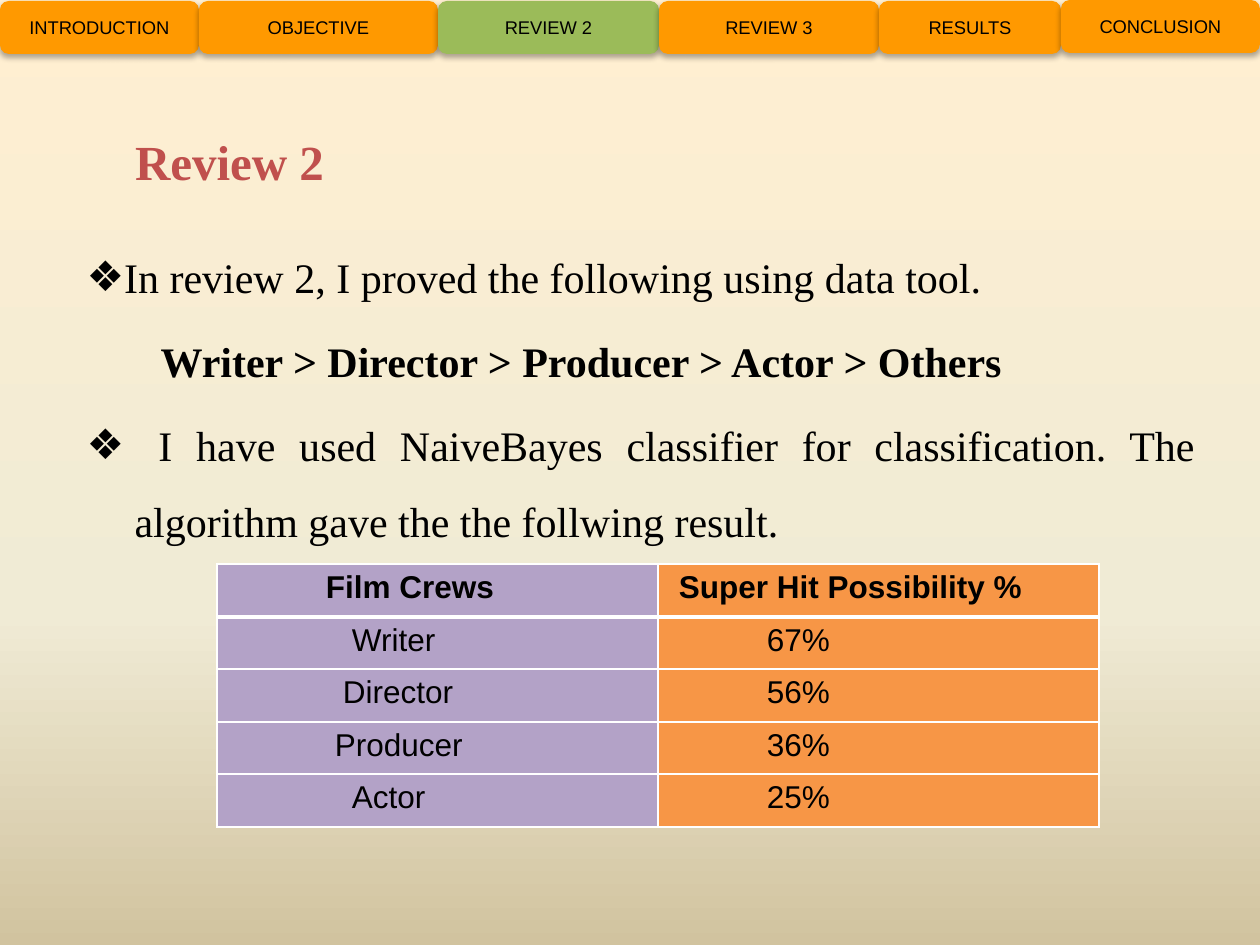
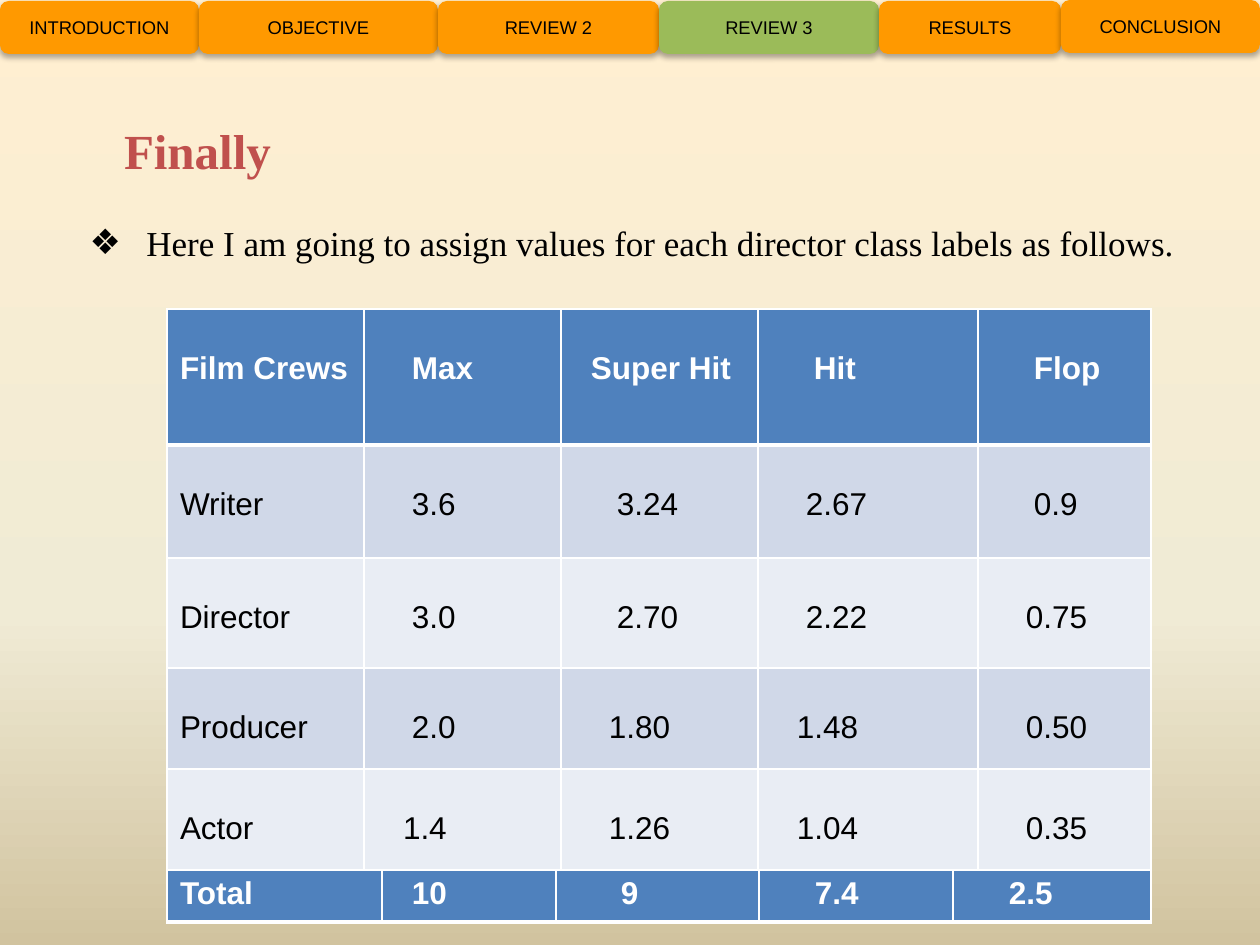
import copy
import itertools
from dataclasses import dataclass

import lxml.etree
import pptx
import pptx.dml.color
import pptx.enum.shapes
import pptx.enum.text
import pptx.oxml.ns
import pptx.util

qn = pptx.oxml.ns.qn
ALIGN = pptx.enum.text.PP_ALIGN
MIDDLE = pptx.enum.text.MSO_ANCHOR.MIDDLE


# Theme
@dataclass(frozen=True)
class Theme:
    serif: str = "Times New Roman"
    sans: str = "Arial"
    black: str = "000000"
    white: str = "FFFFFF"
    title: str = "C0504D"
    tab: str = "FF9900"
    active_tab: str = "9BBB59"
    lilac: str = "B3A2C7"
    orange: str = "F79646"
    blue: str = "4F81BD"
    band_dark: str = "D0D8E8"
    band_light: str = "E9EDF4"
    backdrop: tuple = ((0, "FFEFD1"), (0.65, "F0EBD5"), (1, "D1C39F"))
    title_size: float = 28
    table_size: float = 18
    tab_size: float = 10.5
    thin: float = 1
    thick: float = 3


THEME = Theme()

# Shared navigation: labels, and the left edges that separate them
TABS = ["INTRODUCTION", "OBJECTIVE", "REVIEW 2", "REVIEW 3", "RESULTS", "CONCLUSION"]
TAB_EDGES = [0, 199, 438, 659, 879, 1061, 1260]
TAB_HEIGHT = 53
CELL_TOP = 6
LOWERED_TOP = 42  # leaves one line of space above the cell text

# Content: paragraphs are (text, bold, bullet, left margin, first-line indent),
# table cells are (text, left inset)
REVIEW_ROWS = [
    [("Film Crews", 109), ("Super Hit Possibility %", 21)],
    [("Writer", 135), ("67%", 109)],
    [("Director", 126), ("56%", 109)],
    [("Producer", 118), ("36%", 109)],
    [("Actor", 135), ("25%", 109)],
]
SCORE_ROWS = [
    [("Film Crews", 13), ("Max", 48), ("Super Hit", 30), ("Hit", 56), ("Flop", 56)],
    [("Writer", 13), ("3.6", 48), ("3.24", 56), ("2.67", 48), ("0.9", 56)],
    [("Director", 13), ("3.0", 48), ("2.70", 56), ("2.22", 48), ("0.75", 48)],
    [("Producer", 13), ("2.0", 48), ("1.80", 48), ("1.48", 39), ("0.50", 48)],
    [("Actor", 13), ("1.4", 39), ("1.26", 48), ("1.04", 39), ("0.35", 48)],
]
TOTAL_ROWS = [[("Total", 13), ("10", 30), ("9", 65), ("7.4", 56), ("2.5", 56)]]

SLIDES = [
    {
        "active": "REVIEW 2",
        "title": "Review 2",
        "title_box": (63, 117, 333, 88),
        "body_box": (74, 220, 1134, 630),
        "body_size": 24,
        "body": [
            ("In review 2, I proved the following using data tool.", False, True, 0, -48),
            ("Writer > Director > Producer > Actor > Others", True, False, 74, 0),
            (" I have used NaiveBayes classifier for classification. "
             "The algorithm gave the the follwing result.", False, True, 48, -48),
        ],
        "tables": [
            {
                "at": (217, 564), "columns": [441, 441],
                "heights": [53, 52, 53, 52, 53], "rows": REVIEW_ROWS,
                "fills": [[THEME.lilac, THEME.orange]] * 5,
                "header_colour": THEME.black, "top": CELL_TOP,
            },
        ],
    },
    {
        "active": "REVIEW 3",
        "title": "Finally",
        "title_box": (77, 106, 241, 88),
        "body_box": (77, 194, 1134, 672),
        "body_size": 20,
        "body": [
            (" Here I am going to assign values for each director class labels as follows.",
             False, True, 48, -48),
        ],
        "tables": [
            {
                "at": (167, 309), "columns": [197, 197, 197, 220, 173],
                "heights": [136, 113, 110, 101, 101], "rows": SCORE_ROWS,
                "fills": [[THEME.blue] * 5] + [[THEME.band_dark] * 5, [THEME.band_light] * 5] * 2,
                "header_colour": THEME.white, "top": LOWERED_TOP,
            },
            {
                "at": (167, 870), "columns": [215, 174, 203, 194, 198],
                "heights": [52], "rows": TOTAL_ROWS,
                "fills": [[THEME.blue] * 5],
                "header_colour": THEME.white, "top": CELL_TOP,
            },
        ],
    },
]


# Helpers
def px(length):
    return pptx.util.Emu(round(length * 914400 / 126))


def rgb(colour):
    return pptx.dml.color.RGBColor.from_string(colour)


def place(shape, box):
    shape.left, shape.top, shape.width, shape.height = map(px, box)


def add_span(para, text, font, size, colour, bold=False):
    span = para.add_run()
    span.text = text
    span.font.name = font
    span.font.size = pptx.util.Pt(size)
    span.font.color.rgb = rgb(colour)
    span.font.bold = bold


def add_element(parent, tag, **attributes):
    element = lxml.etree.SubElement(parent, qn(tag))
    for name, value in attributes.items():
        element.set(name, str(value))
    return element


def set_backdrop(master):
    fill = master.background.fill
    fill.gradient()
    fill.gradient_angle = 270
    stops = master.element.find(".//" + qn("a:gsLst"))
    stops.append(copy.deepcopy(stops[-1]))
    for stop, (position, colour) in zip(fill.gradient_stops, THEME.backdrop):
        stop.position = position
        stop.color.rgb = rgb(colour)


# Slide parts
def add_tabs(page, active):
    for label, (left, right) in zip(TABS, itertools.pairwise(TAB_EDGES)):
        top = 0 if label == TABS[-1] else 1
        tab = page.shapes.add_shape(
            pptx.enum.shapes.MSO_SHAPE.ROUNDED_RECTANGLE,
            px(left), px(top), px(right - left), px(TAB_HEIGHT))
        tab.fill.solid()
        tab.fill.fore_color.rgb = rgb(THEME.active_tab if label == active else THEME.tab)
        tab.line.fill.background()
        tab.shadow.inherit = False
        effects = tab.element.spPr.find(qn("a:effectLst"))
        shadow = add_element(effects, "a:outerShdw", blurRad=pptx.util.Pt(3.5),
                             dist=pptx.util.Pt(2.2), dir=90 * 60000, rotWithShape=0)
        shade = add_element(shadow, "a:srgbClr", val=THEME.black)
        add_element(shade, "a:alpha", val=32000)
        tab.text_frame.vertical_anchor = MIDDLE
        para = tab.text_frame.paragraphs[0]
        para.alignment = ALIGN.CENTER
        add_span(para, label, THEME.sans, THEME.tab_size, THEME.black)


def fill_title(page, content):
    title = page.shapes.title
    place(title, content["title_box"])
    title.text_frame.auto_size = pptx.enum.text.MSO_AUTO_SIZE.NONE
    title.text_frame.vertical_anchor = MIDDLE
    para = title.text_frame.paragraphs[0]
    para.alignment = ALIGN.CENTER
    add_span(para, content["title"], THEME.serif, THEME.title_size, THEME.title, True)


def fill_body(page, content):
    body = page.placeholders[1]
    place(body, content["body_box"])
    frame = body.text_frame
    frame.auto_size = pptx.enum.text.MSO_AUTO_SIZE.NONE
    for index, (text, bold, bullet, margin, indent) in enumerate(content["body"]):
        para = frame.add_paragraph() if index else frame.paragraphs[0]
        para.alignment = ALIGN.JUSTIFY
        para.line_spacing = 1.5
        layout = para._p.get_or_add_pPr()
        layout.set("marL", str(px(margin)))
        layout.set("indent", str(px(indent)))
        if bullet:
            add_element(layout, "a:buChar", char="❖")
        else:
            add_element(layout, "a:buNone")
        add_span(para, text, THEME.serif, content["body_size"], THEME.black, bold)


def set_borders(cell, row):
    widths = {
        "L": THEME.thin,
        "R": THEME.thin,
        "T": THEME.thick if row == 1 else THEME.thin,
        "B": THEME.thick if row == 0 else THEME.thin,
    }
    for side, width in widths.items():
        line = add_element(cell._tc.get_or_add_tcPr(), "a:ln" + side, w=pptx.util.Pt(width))
        add_element(add_element(line, "a:solidFill"), "a:srgbClr", val=THEME.white)


def add_grid(page, grid):
    columns, heights = grid["columns"], grid["heights"]
    left, top = grid["at"]
    table = page.shapes.add_table(len(heights), len(columns), px(left), px(top),
                                  px(sum(columns)), px(sum(heights))).table
    table.first_row = table.horz_banding = False
    for column, width in zip(table.columns, columns):
        column.width = px(width)
    for row, height in zip(table.rows, heights):
        row.height = px(height)
    for row, cells in enumerate(grid["rows"]):
        for column, (text, inset) in enumerate(cells):
            cell = table.cell(row, column)
            set_borders(cell, row)
            cell.fill.solid()
            cell.fill.fore_color.rgb = rgb(grid["fills"][row][column])
            cell.margin_left, cell.margin_right = px(inset), 0
            cell.margin_top = px(grid["top"])
            header = row == 0
            add_span(cell.text_frame.paragraphs[0], text, THEME.sans, THEME.table_size,
                     grid["header_colour"] if header else THEME.black, header)


def main():
    deck = pptx.Presentation()
    deck.slide_width, deck.slide_height = px(1260), px(945)
    set_backdrop(deck.slide_master)
    for content in SLIDES:
        page = deck.slides.add_slide(deck.slide_layouts[1])
        fill_title(page, content)
        fill_body(page, content)
        add_tabs(page, content["active"])
        for grid in content["tables"]:
            add_grid(page, grid)
    deck.save("out.pptx")


if __name__ == "__main__":
    main()
